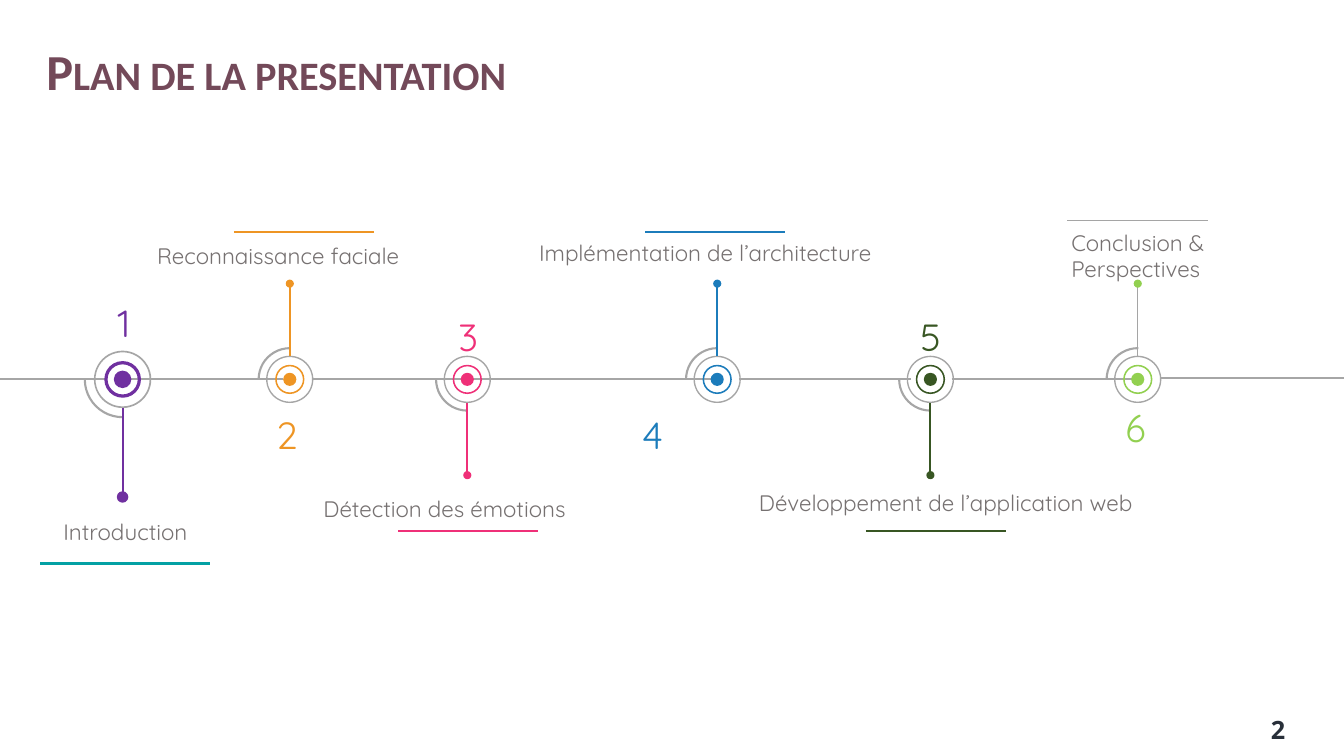
from dataclasses import dataclass

from lxml.etree import SubElement
from pptx import Presentation
from pptx.dml.color import RGBColor
from pptx.enum.shapes import MSO_CONNECTOR, MSO_SHAPE
from pptx.enum.text import MSO_ANCHOR, MSO_AUTO_SIZE, PP_ALIGN
from pptx.oxml.ns import qn
from pptx.util import Pt

COLORS = {
    "title": "734959", "axis": "A6A6A6", "label": "767171", "page": "282F39",
    "purple": "7030A0", "teal": "03A1A4", "orange": "EE9524", "pink": "EF3078",
    "blue": "1C7CBB", "green": "385623", "lime": "92D050", "grey": "A5A5A5",
}
FORMATS = {
    "title": {"name": "Calibri", "size": Pt(36), "bold": True},
    "number": {"name": "Quicksand", "size": Pt(27)},
    "label": {"name": "Quicksand", "size": Pt(16)},
    "page": {"name": "Noto Sans", "size": Pt(18), "bold": True},
}
AXIS_Y = 271
AXIS = [(0, 76.3, 270.9), (91.4, 202.3, 270.9), (223.9, 509, 270.9),
        (527.8, 650.9, 270.9), (679.7, 810.7, 270.9), (828.7, 960, 270)]


@dataclass
class Node:
    """Diameters of the marker parts and the vertical reach of its stem."""
    arc: float = 44.6
    outer: float = 33.8
    inner: float = 20.9
    core: float = 9.4
    dot: float = 5.8
    stem_start: float = 17
    stem_end: float = 67.4
    outline: float = 0


@dataclass
class Bar:
    x: float
    y: float
    color: str
    width: float = 100.1
    weight: float = 1.5


@dataclass
class Step:
    number: str
    label: str
    color: str
    x: float
    up: bool
    number_x: float
    number_y: float
    label_box: tuple[float, float, float, float]
    bar: Bar
    node: Node
    stem_color: str = ""
    stem_weight: float = 1.5


SMALL = Node()
LARGE = Node(54, 41, 25.2, 11.5, 7.2, 20.5, 83, 1)

STEPS = [
    Step("2", "Reconnaissance faciale", "orange", 207, True, 204.8, 290.2,
         (105.1, 169.2, 351.4, 37.4), Bar(167, 165.6, "orange"), SMALL),
    Step("3", "Détection des émotions", "pink", 333.8, False, 334.4, 220.3,
         (223.9, 349.9, 362.9, 37.4), Bar(284.4, 379.4, "pink"), SMALL),
    Step("4", "Implémentation de l’architecture", "blue", 512.3, True, 466.2, 290.2,
         (378, 167, 280.8, 31.7), Bar(460.8, 165.6, "blue"), SMALL),
    Step("5", "Développement de l’application web", "green", 664.6, False, 664.9, 220.3,
         (535, 345.6, 312.5, 28.8), Bar(618.5, 379.4, "green"), SMALL),
    Step("6", "Conclusion & Perspectives", "lime", 812.7, True, 811.1, 285.8,
         (758.2, 159.8, 129.6, 63.4), Bar(762.5, 157.7, "grey", weight=1),
         SMALL, "grey", 1),
    Step("1", "Introduction", "purple", 87.6, False, 88.6, 210.2,
         (38.2, 366.5, 150, 26.6), Bar(28.8, 402.5, "teal", 121), LARGE),
]


def rgb(color: str) -> RGBColor:
    return RGBColor.from_string(COLORS[color])


def add_line(slide, x1: float, y1: float, x2: float, y2: float,
             color: str, weight: float = 1.5) -> None:
    cx = slide.shapes.add_connector(
        MSO_CONNECTOR.STRAIGHT, Pt(x1), Pt(y1), Pt(x2), Pt(y2))
    cx.line.color.rgb = rgb(color)
    cx.line.width = Pt(weight)
    SubElement(cx._element.spPr, qn("a:effectLst"))


def add_round(slide, kind: MSO_SHAPE, x: float, y: float, size: float,
              fill: str = "", line: str = "", weight: float = 0,
              adjust: tuple[float, ...] = ()):
    """Add a round preset shape centred on (x, y)."""
    sp = slide.shapes.add_shape(
        kind, Pt(x - size / 2), Pt(y - size / 2), Pt(size), Pt(size))
    sp.shadow.inherit = False
    for i, value in enumerate(adjust):
        sp.adjustments[i] = value
    if fill:
        sp.fill.solid()
        sp.fill.fore_color.rgb = rgb(fill)
    else:
        sp.fill.background()
    if weight:
        sp.line.color.rgb = rgb(line)
        sp.line.width = Pt(weight)
    else:
        sp.line.fill.background()
    return sp


def write(tf, text: str, style: str, color: str, align: PP_ALIGN = PP_ALIGN.LEFT):
    tf.word_wrap = True
    tf.auto_size = MSO_AUTO_SIZE.NONE
    p = tf.paragraphs[0]
    p.alignment = align
    r = p.add_run()
    r.text = text
    for name, value in FORMATS[style].items():
        setattr(r.font, name, value)
    r.font.color.rgb = rgb(color)
    return r


def add_text(slide, box: tuple[float, float, float, float], text: str,
             style: str, color: str, align: PP_ALIGN = PP_ALIGN.LEFT) -> None:
    sp = slide.shapes.add_textbox(*map(Pt, box))
    write(sp.text_frame, text, style, color, align)


def add_step(slide, step: Step) -> None:
    node, x, color = step.node, step.x, step.color
    arc = add_round(slide, MSO_SHAPE.ARC, x, AXIS_Y, node.arc, line="axis",
                    weight=1.5, adjust=(54.204, 108.533))
    arc.rotation = 90 if step.up else 0
    add_round(slide, MSO_SHAPE.OVAL, x, AXIS_Y, node.core, color, color, node.outline)
    add_round(slide, MSO_SHAPE.DONUT, x, AXIS_Y, node.inner, color, color,
              node.outline, (0.053,))
    add_round(slide, MSO_SHAPE.DONUT, x, AXIS_Y, node.outer, "axis", adjust=(0.029,))

    side = -1 if step.up else 1
    end_y = AXIS_Y + side * node.stem_end
    add_line(slide, x, AXIS_Y + side * node.stem_start, x, end_y,
             step.stem_color or color, step.stem_weight)
    add_round(slide, MSO_SHAPE.OVAL, x, end_y + side, node.dot, color, color, node.outline)

    add_text(slide, (step.number_x - 37, step.number_y, 74, 32.4), step.number,
             "number", color, PP_ALIGN.CENTER)
    add_text(slide, step.label_box, step.label, "label", "label")
    bar = step.bar
    add_line(slide, bar.x, bar.y, bar.x + bar.width, bar.y, bar.color, bar.weight)


def add_title(slide, text: str) -> None:
    sp = slide.shapes.title
    sp.left, sp.top, sp.width, sp.height = map(Pt, (25.9, 23.8, 430.6, 59))
    tf = sp.text_frame
    r = write(tf, text, "title", "title")
    r.font._element.set("cap", "small")
    tf.vertical_anchor = MSO_ANCHOR.MIDDLE
    tf.paragraphs[0].line_spacing = 0.9


def main() -> None:
    prs = Presentation()
    prs.slide_width, prs.slide_height = Pt(960), Pt(540)
    slide = prs.slides.add_slide(prs.slide_layouts[5])
    add_title(slide, "Plan de la presentation")
    for x1, x2, y in AXIS:
        add_line(slide, x1, y, x2, y, "axis")
    for step in STEPS:
        add_step(slide, step)
    add_text(slide, (900.7, 506.9, 55, 33), "2", "page", "page")
    prs.save("out.pptx")


if __name__ == "__main__":
    main()
